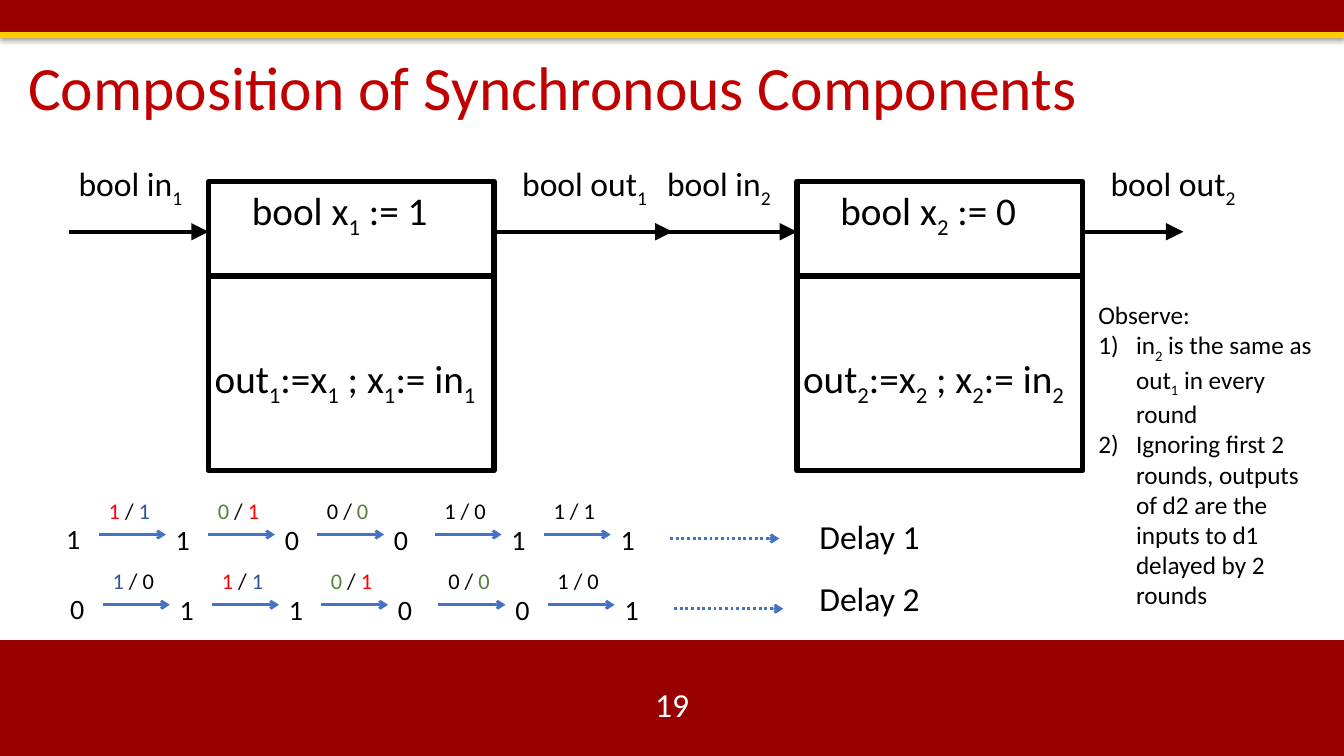
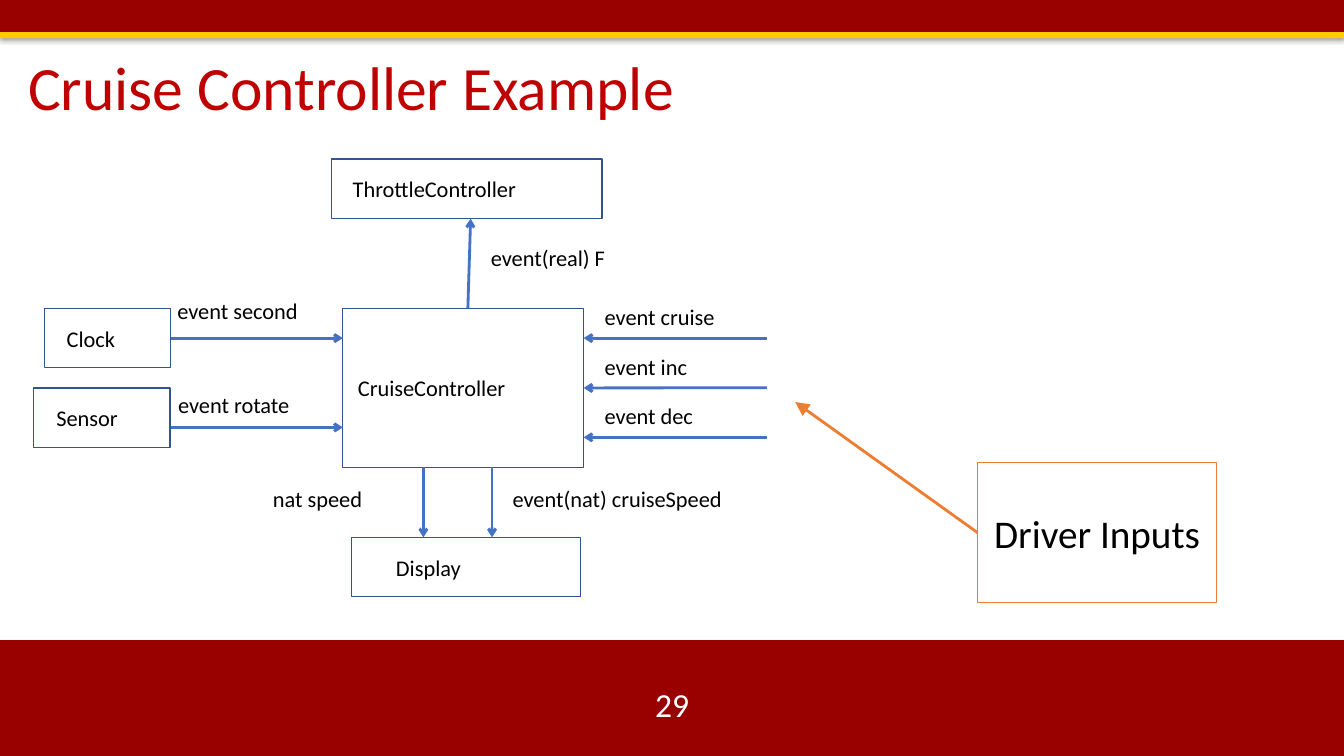
import lxml.etree
import pptx
import pptx.dml.color
import pptx.enum.dml
import pptx.enum.shapes
import pptx.enum.text
import pptx.oxml.ns
import pptx.util

Cm = pptx.util.Cm
Pt = pptx.util.Pt
qn = pptx.oxml.ns.qn
ALIGN = pptx.enum.text.PP_ALIGN
ANCHOR = pptx.enum.text.MSO_ANCHOR

WIDE, HIGH = 33.87, 19.05
FACE = "Calibri"
HUES = {
    "band": "990000",
    "stripe": "FFCC00",
    "title": "C00000",
    "black": "000000",
    "white": "FFFFFF",
    "red": "FF0000",
    "navy": "2F5597",
    "green": "548235",
    "arrow": "4472C4",
    "edge": "325491",
    "orange": "ED7D31",
}


def hue(name):
    return pptx.dml.color.RGBColor.from_string(HUES[name])


def style(par, size, tint="black"):
    par.font.name = FACE
    par.font.size = Pt(size)
    if tint:
        par.font.color.rgb = hue(tint)


def write(par, words):
    first, *rest = words.split("_")
    if first:
        par.add_run().text = first
    for part in rest:
        low = par.add_run()
        low.text = part[0]
        low._r.get_or_add_rPr().set("baseline", "-25000")
        if part[1:]:
            par.add_run().text = part[1:]


def area(slide, x, y, w, h, wrap=False):
    frame = slide.shapes.add_textbox(Cm(x), Cm(y), Cm(w), Cm(h)).text_frame
    frame.word_wrap = wrap
    return frame


def label(slide, x, y, w, h, words, size, tint="black", wrap=False):
    frame = area(slide, x, y, w, h, wrap)
    par = frame.paragraphs[0]
    write(par, words)
    style(par, size, tint)
    return frame


def block(slide, x, y, w, h, fill=None, edge=None, weight=1):
    kind = pptx.enum.shapes.MSO_SHAPE.RECTANGLE
    shape = slide.shapes.add_shape(kind, Cm(x), Cm(y), Cm(w), Cm(h))
    shape.shadow.inherit = False
    if fill:
        shape.fill.solid()
        shape.fill.fore_color.rgb = hue(fill)
    else:
        shape.fill.background()
    if edge:
        shape.line.color.rgb = hue(edge)
        shape.line.width = Pt(weight)
    else:
        shape.line.fill.background()
    return shape


def link(slide, x, y, right, down, tint="arrow", weight=2, head="arrow", dots=False):
    kind = pptx.enum.shapes.MSO_CONNECTOR.STRAIGHT
    line = slide.shapes.add_connector(kind, Cm(x), Cm(y), Cm(right), Cm(down))
    line.line.color.rgb = hue(tint)
    line.line.width = Pt(weight)
    if dots:
        line.line.dash_style = pptx.enum.dml.MSO_LINE.ROUND_DOT
    prop = line._element.spPr
    if head:
        size = "lg" if head == "triangle" else "med"
        lxml.etree.SubElement(
            prop.find(qn("a:ln")), qn("a:tailEnd"), type=head, w=size, len=size)
    lxml.etree.SubElement(prop, qn("a:effectLst"))
    return line


def band(slide, x, y, w, h, fill):
    shape = block(slide, x, y, w, h, fill)
    glow = lxml.etree.SubElement(
        shape._element.spPr.find(qn("a:effectLst")), qn("a:outerShdw"),
        blurRad=str(Pt(3.1)), dist=str(Pt(1.8)), dir="5400000", rotWithShape="0")
    tone = lxml.etree.SubElement(glow, qn("a:srgbClr"), val=HUES["black"])
    lxml.etree.SubElement(tone, qn("a:alpha"), val="35000")


def base(deck, title, page):
    slide = deck.slides.add_slide(deck.slide_layouts[6])
    band(slide, 0, 16.13, WIDE, 2.92, "band")
    band(slide, 0, 0, WIDE, 0.84, "band")
    band(slide, 0, 0.81, WIDE, 0.15, "stripe")
    head = label(slide, 0.46, 1.19, 30.33, 2.16, title, 44, "title", True)
    head.vertical_anchor = ANCHOR.MIDDLE
    head.paragraphs[0].line_spacing = 0.9
    foot = label(slide, 13.13, 17.22, 7.62, 1.02, page, 24, "white", True)
    foot.vertical_anchor = ANCHOR.MIDDLE
    foot.paragraphs[0].alignment = ALIGN.CENTER
    return slide


def delay(slide, x, y, num, start, reach):
    side, tall, port = 7.19, 7.29, y + 1.27
    block(slide, x, y, side, tall, edge="black", weight=4)
    link(slide, x, y + 2.39, x + side, y + 2.39, "black", 4, None)
    for left, right in ((x - 3.53, x), (x + side, x + side + reach)):
        link(slide, left, port, right, port, "black", 2.5, "triangle")
    for dx, dy, w, h, words, size in (
        (-3.53, -0.58, 3.18, 1.27, f"bool in_{num}", 24),
        (7.65, -0.58, 3.73, 1.27, f"bool out_{num}", 24),
        (0.84, 0, 5.03, 1.45, f"bool x_{num} := {start}", 28),
        (-0.1, 4.24, 7.34, 1.45, f"out_{num}:=x_{num} ; x_{num}:= in_{num}", 28),
    ):
        label(slide, x + dx, y + dy, w, h, words, size)


def trace(slide, x, y, start, steps):
    label(slide, x, y + 0.61, 0.86, 1.12, start, 20)
    for i, (take, give, state) in enumerate(steps):
        left = x + 1.07 + 2.75 * i + (0.21 if i > 2 else 0)
        par = area(slide, left, y, 1.57, 0.94).paragraphs[0]
        for words, tint in (take, (" / ", "black"), give):
            run = par.add_run()
            run.text = words
            run.font.color.rgb = hue(tint)
        style(par, 16, None)
        link(slide, left, y + 1.07, left + 1.69, y + 1.07)
        label(slide, left + 1.69, y + 0.64, 0.86, 1.12, state, 20)
    link(slide, x + 15.47, y + 1.17, x + 18.22, y + 1.17, dots=True)


def remark(slide, x, y, w, h, lead, points):
    frame = label(slide, x, y, w, h, lead, 18, wrap=True)
    for words in points:
        par = frame.add_paragraph()
        write(par, words)
        prop = par._p.get_or_add_pPr()
        prop.set("marL", str(Cm(0.95)))
        prop.set("indent", str(Cm(-0.95)))
        lxml.etree.SubElement(prop, qn("a:buFont"), typeface="+mj-lt")
        lxml.etree.SubElement(prop, qn("a:buAutoNum"), type="arabicParenR")
        style(par, 18)


def node(slide, x, y, w, h, words, inset):
    shape = block(slide, x, y, w, h, edge="edge")
    frame = shape.text_frame
    frame.margin_left = Cm(inset)
    frame.vertical_anchor = ANCHOR.MIDDLE
    par = frame.paragraphs[0]
    par.text = words
    par.alignment = ALIGN.LEFT
    style(par, 16)
    return shape


def cruise(slide, x, y):
    def part(dx, dy, w, h, words, inset):
        return node(slide, x + dx, y + dy, w, h, words, inset)

    def wire(left, top, right, down):
        return link(slide, x + left, y + top, x + right, y + down)

    hub = part(7.8, 3.76, 6.07, 4.01, "CruiseController", 0.38)
    clock = part(0.28, 3.76, 3.18, 1.5, "Clock", 0.56)
    part(0, 5.77, 3.45, 1.5, "Sensor", 0.58)
    part(8.02, 9.53, 5.77, 1.5, "Display", 1.12)
    part(7.52, 0, 6.81, 1.5, "ThrottleController", 0.53)

    wire(3.46, 4.51, 7.8, 4.51).begin_connect(clock, 3)
    wire(3.46, 6.76, 7.8, 6.76)
    wire(10.95, 3.76, 11.02, 1.5)
    for dx in (9.83, 11.56):
        wire(dx, 7.77, dx, 9.53)
    for i, name in enumerate(("cruise", "inc", "dec")):
        dy = 4.51 + 1.25 * i
        line = wire(18.49, dy, 13.87, dy)
        if name == "inc":
            line.end_connect(hub, 3)
        label(slide, x + 14.15, y + dy - 1, 4.9, 1.12, f"event {name}", 16, wrap=True)
    for dx, dy, w, words in (
        (3.38, 3.36, 4.9, "event second"),
        (3.4, 5.72, 4.6, "event rotate"),
        (5.79, 8.08, 3.81, "nat speed"),
        (11.83, 8.08, 7.92, "event(nat) cruiseSpeed"),
        (11.28, 2.01, 8.97, "event(real) F"),
    ):
        label(slide, x + dx, y + dy, w, 1.12, words, 16, wrap=True)


def driver(slide, x, y, w, h):
    line = link(slide, x, y + h / 2, x - 4.6, y - 1.53, "orange", 2, "triangle")
    shape = block(slide, x, y, w, h, "white", "orange")
    shape.text_frame.vertical_anchor = ANCHOR.MIDDLE
    par = shape.text_frame.paragraphs[0]
    par.text = "Driver Inputs"
    par.alignment = ALIGN.CENTER
    style(par, 28)
    line.begin_connect(shape, 1)


def main():
    deck = pptx.Presentation()
    deck.slide_width, deck.slide_height = Cm(WIDE), Cm(HIGH)

    slide = base(deck, "Composition of Synchronous Components", "19")
    delay(slide, 5.26, 4.57, 1, 1, 4.5)
    delay(slide, 20.09, 4.57, 2, 0, 2.54)
    one, nil = ("1", "black"), ("0", "black")
    red, navy = ("1", "red"), ("1", "navy")
    green = ("0", "green")
    trace(slide, 1.42, 12.4, "1", (
        (red, navy, "1"), (green, red, "0"), (nil, green, "0"),
        (one, nil, "1"), (one, one, "1")))
    trace(slide, 1.52, 14.17, "0", (
        (navy, nil, "1"), (red, navy, "1"), (green, red, "0"),
        (nil, green, "0"), (one, nil, "1")))
    for i in range(2):
        label(slide, 20.4, 12.88 + 1.57 * i, 3.07, 1.27, f"Delay {i + 1}", 24)
    remark(slide, 27.43, 7.42, 6.1, 7.95, "Observe:", (
        "in_2 is the same as out_1 in every round",
        "Ignoring first 2 rounds, outputs of d2 are the inputs to d1 delayed by 2 rounds"))

    slide = base(deck, "Cruise Controller Example", "29")
    cruise(slide, 0.84, 4.01)
    driver(slide, 24.64, 11.66, 6.02, 3.53)

    deck.save("out.pptx")


if __name__ == "__main__":
    main()
